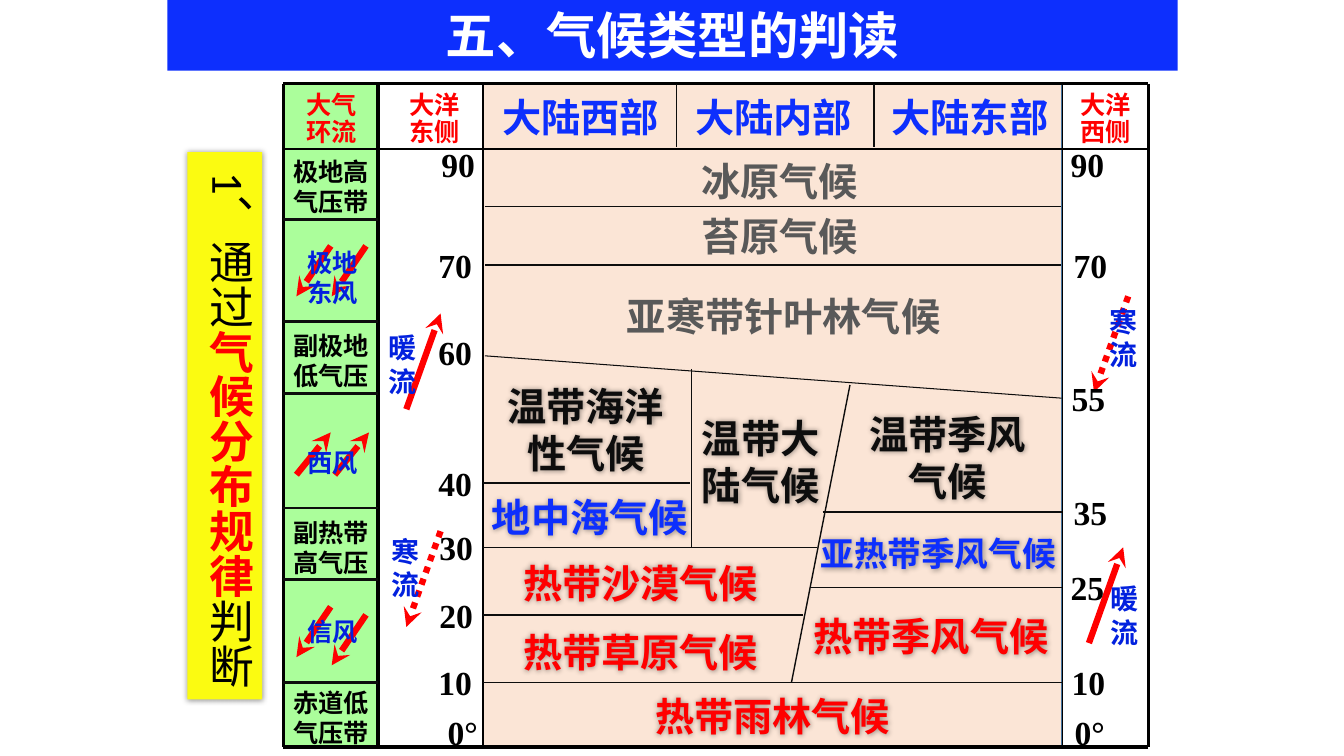
from dataclasses import dataclass

from lxml import etree
from pptx import Presentation
from pptx.dml.color import RGBColor
from pptx.enum.dml import MSO_LINE
from pptx.enum.shapes import MSO_CONNECTOR, MSO_SHAPE
from pptx.enum.text import MSO_ANCHOR, MSO_AUTO_SIZE, PP_ALIGN
from pptx.oxml.ns import qn
from pptx.util import Pt

EMU_PER_PX = 9144  # 100 px to the inch
STRAIGHT, RECT = MSO_CONNECTOR.STRAIGHT, MSO_SHAPE.RECTANGLE
CENTER, LEFT = PP_ALIGN.CENTER, PP_ALIGN.LEFT
TOP, MIDDLE = MSO_ANCHOR.TOP, MSO_ANCHOR.MIDDLE
GROW = MSO_AUTO_SIZE.SHAPE_TO_FIT_TEXT
DOTTED = MSO_LINE.ROUND_DOT

SANS, BODY, SERIF = "Noto Sans CJK SC", "Calibri", "Times New Roman"
BLACK, INK, GREY, WHITE = "000000", "0D0D0D", "595959", "FFFFFF"
RED, BLUE, WIND_BLUE = "FF0000", "0D2FFD", "0221DE"
GREEN, PEACH, YELLOW, BORDER = "ABFE9B", "FBE5D6", "FBFB11", "43739E"


@dataclass
class Label:
    text: str
    x: int
    y: int
    w: int
    h: int
    color: str
    size: int = 28
    font: str = BODY
    align: PP_ALIGN = LEFT
    spacing: float = 1.0
    wrap: bool = False
    shadow: bool = False


@dataclass
class Rule:
    x1: int
    y1: int
    x2: int
    y2: int
    width: float = 1
    color: str = INK


@dataclass
class Flow:
    x1: int
    y1: int
    x2: int
    y2: int
    dotted: bool = False


def px(value: int) -> int:
    return value * EMU_PER_PX


def rgb(color: str) -> RGBColor:
    return RGBColor.from_string(color)


def add_run(paragraph, text: str, size: int, color: str, font: str, bold: bool = True) -> None:
    run = paragraph.add_run()
    run.text = text
    run.font.size, run.font.bold, run.font.name = Pt(size), bold, font
    run.font.color.rgb = rgb(color)
    etree.SubElement(run.font._element, qn("a:ea")).set("typeface", font)


def add_soft_shadow(shape) -> None:
    effects = etree.SubElement(shape._element.spPr, qn("a:effectLst"))
    shadow = etree.SubElement(effects, qn("a:outerShdw"), blurRad=str(Pt(4)), dist="0")
    black = etree.SubElement(shadow, qn("a:srgbClr"), val=BLACK)
    etree.SubElement(black, qn("a:alpha"), val="40000")


def add_area(slide, x: int, y: int, w: int, h: int, fill: str, border: str = ""):
    area = slide.shapes.add_shape(RECT, px(x), px(y), px(w), px(h))
    area.fill.solid()
    area.fill.fore_color.rgb = rgb(fill)
    if border:
        area.shadow.inherit = False
        area.line.color.rgb = rgb(border)
        area.line.width = Pt(1)
    else:
        area.line.fill.background()
    return area


def add_rule(slide, rule: Rule):
    line = slide.shapes.add_connector(STRAIGHT, px(rule.x1), px(rule.y1), px(rule.x2), px(rule.y2))
    line.line.width = Pt(rule.width)
    line.line.color.rgb = rgb(rule.color)
    etree.SubElement(line._element.spPr, qn("a:effectLst"))
    return line


def add_flow(slide, flow: Flow) -> None:
    arrow = add_rule(slide, Rule(flow.x1, flow.y1, flow.x2, flow.y2, 4.5, RED))
    if flow.dotted:
        arrow.line.dash_style = DOTTED
    etree.SubElement(arrow.line._get_or_add_ln(), qn("a:tailEnd"), type="stealth")


def add_label(slide, label: Label) -> None:
    box = slide.shapes.add_textbox(px(label.x), px(label.y), px(label.w), px(label.h))
    frame = box.text_frame
    frame.word_wrap, frame.auto_size = label.wrap, GROW
    for i, line in enumerate(label.text.split("\n")):
        paragraph = frame.add_paragraph() if i else frame.paragraphs[0]
        paragraph.alignment, paragraph.line_spacing = label.align, label.spacing
        add_run(paragraph, line, label.size, label.color, label.font)
    if label.shadow:
        add_soft_shadow(box)


# Grid: outer frame, columns, latitude limits
RULES = (
    [Rule(281, y, 1139, y, 2.5, BLACK) for y in (83, 741)]
    + [Rule(x, 83, x, 741, 2.5, BLACK) for x in (281, 375, 1139)]
    + [Rule(x, 83, x, 740, 1, BLACK) for x in (479, 1054)]
    + [Rule(281, 148, 1139, 148, 1.75, BLACK)]
    + [Rule(x, 83, x, 146) for x in (671, 867)]
    + [Rule(281, y, 375, y, 2) for y in (218, 319, 390, 504, 575, 677)]
    + [Rule(x1, y, x2, y) for x1, x2, y in (
        (481, 1052, 205), (481, 1052, 263), (479, 684, 479), (816, 1053, 508),
        (479, 810, 543), (804, 1053, 583), (479, 796, 610), (479, 1054, 677))]
    + [Rule(686, 366, 686, 543), Rule(843, 382, 785, 677), Rule(481, 353, 1053, 395, 0.75)]
)

# Winds on the left, ocean currents on both sides
FLOWS = (
    [Flow(x, y, x - 34, y + 50) for x, y in ((328, 602), (363, 610), (363, 244), (328, 244))]
    + [Flow(x, 471, x + 34, 429) for x in (294, 332)]
    + [Flow(403, 406, 437, 311), Flow(1080, 638, 1114, 543)]
    + [Flow(437, 527, 403, 622, True), Flow(1119, 294, 1085, 389, True)]
)

LATITUDES = [
    Label(text, x, y, 71 if text == "0°" else 53, 50, BLACK, 24, SERIF)
    for text, x, y in (
        ("90", 428, 138), ("70", 425, 238), ("60", 425, 324), ("40", 425, 454), ("30", 426, 518),
        ("20", 426, 585), ("10", 425, 652), ("0°", 434, 701),
        ("90", 1052, 138), ("70", 1055, 238), ("55", 1053, 370), ("35", 1055, 483),
        ("25", 1052, 558), ("10", 1053, 652), ("0°", 1056, 701))
]
HEADERS = [
    Label(text, x, 83, 190, 62, BLUE, 28, SANS, CENTER, 1.1, True)
    for text, x in (("大陆西部", 481), ("大陆内部", 672), ("大陆东部", 867))
] + [
    Label(text, x, 87, 70, 64, RED, 18, SANS, LEFT, 0.9)
    for text, x in (("大气\n环流", 294), ("大洋\n东侧", 396), ("大洋\n西侧", 1062))
]
PRESSURE_BELTS = [
    Label(text, 281, y, 99, 71, BLACK, 18, wrap=True)
    for text, y in (("极地高\n气压带", 150), ("副极地低气压", 323),
                    ("副热带高气压", 508), ("赤道低\n气压带", 677))
]
WINDS = [
    Label(text, 295, y, 71, h, WIND_BLUE, 18)
    for text, y, h in (("极地\n东风", 240, 71), ("西风", 439, 40), ("信风", 607, 40))
]
CURRENTS = [
    Label(text, x, y, 48, 77, WIND_BLUE, 20)
    for text, x, y in (("暖\n流", 375, 323), ("寒\n流", 378, 525),
                       ("暖\n流", 1092, 572), ("寒\n流", 1091, 297))
]
CLIMATES = [
    Label(text, x, y, w, 62, color, spacing=1.1, shadow=color != GREY)
    for text, x, y, w, color in (
        ("冰原气候", 686, 146, 176, GREY), ("苔原气候", 686, 201, 176, GREY),
        ("亚寒带针叶林气候", 612, 280, 333, GREY), ("地中海气候", 478, 480, 215, BLUE),
        ("热带沙漠气候", 509, 545, 255, RED), ("热带草原气候", 509, 614, 255, RED),
        ("热带季风气候", 797, 598, 255, RED), ("热带雨林气候", 640, 677, 255, RED))
] + [
    Label(text, x, y, w, 104, INK, align=CENTER, shadow=True)
    for text, x, y, w in (("温带海洋\n性气候", 493, 374, 176), ("温带大\n陆气候", 686, 406, 137),
                          ("温带季风\n气候", 852, 402, 176))
] + [Label("亚热带季风气候", 804, 520, 257, 55, BLUE, 24, spacing=1.1, shadow=True)]


def add_title(slide) -> None:
    title = slide.shapes.title
    title.left, title.top, title.width, title.height = px(166), px(-1), px(1002), px(71)
    title.fill.solid()
    title.fill.fore_color.rgb = rgb(BLUE)
    title.text_frame.vertical_anchor = MIDDLE
    paragraph = title.text_frame.paragraphs[0]
    paragraph.alignment = CENTER
    add_run(paragraph, "五、气候类型的判读", 36, WHITE, SANS)


def add_method_banner(slide) -> None:
    banner = add_area(slide, 186, 151, 74, 543, YELLOW)
    add_soft_shadow(banner)
    frame = banner.text_frame
    frame.word_wrap, frame.vertical_anchor, frame.margin_top = False, TOP, px(20)
    frame._txBody.bodyPr.set("vert", "eaVert")
    paragraph = frame.paragraphs[0]
    paragraph.alignment = LEFT
    for text, color in (("1、通过", BLACK), ("气候分布规律", RED), ("判断", BLACK)):
        add_run(paragraph, text, 32, color, BODY, color == RED)


def main() -> None:
    deck = Presentation()
    deck.slide_width, deck.slide_height = px(1333), px(750)
    slide = deck.slides.add_slide(deck.slide_layouts[5])
    add_title(slide)
    add_area(slide, 282, 83, 94, 658, GREEN, BORDER)
    add_area(slide, 479, 83, 574, 657, PEACH, BORDER)
    add_method_banner(slide)
    for rule in RULES:
        add_rule(slide, rule)
    for flow in FLOWS:
        add_flow(slide, flow)
    for label in LATITUDES + HEADERS + PRESSURE_BELTS + WINDS + CURRENTS + CLIMATES:
        add_label(slide, label)
    deck.save("out.pptx")


if __name__ == "__main__":
    main()
